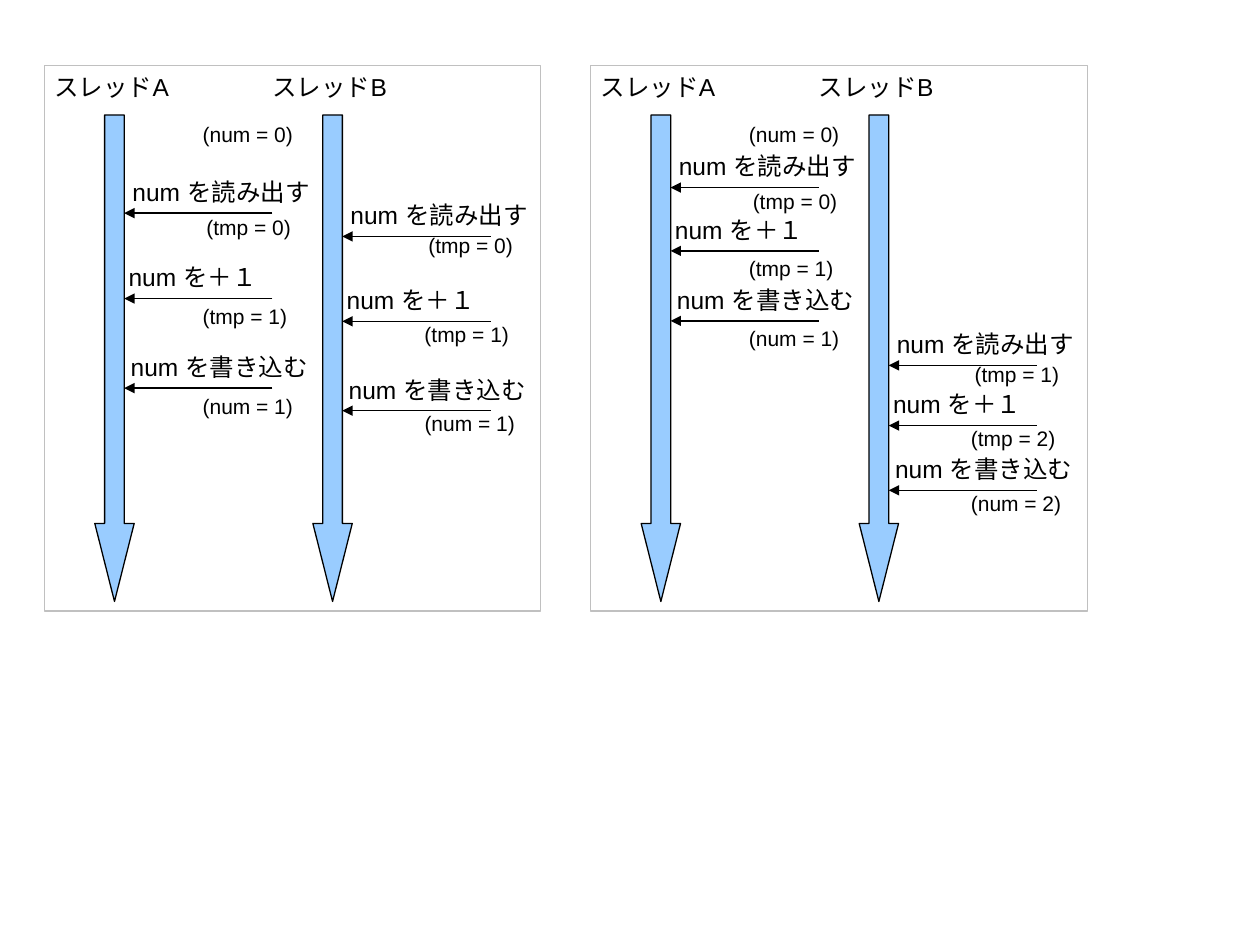
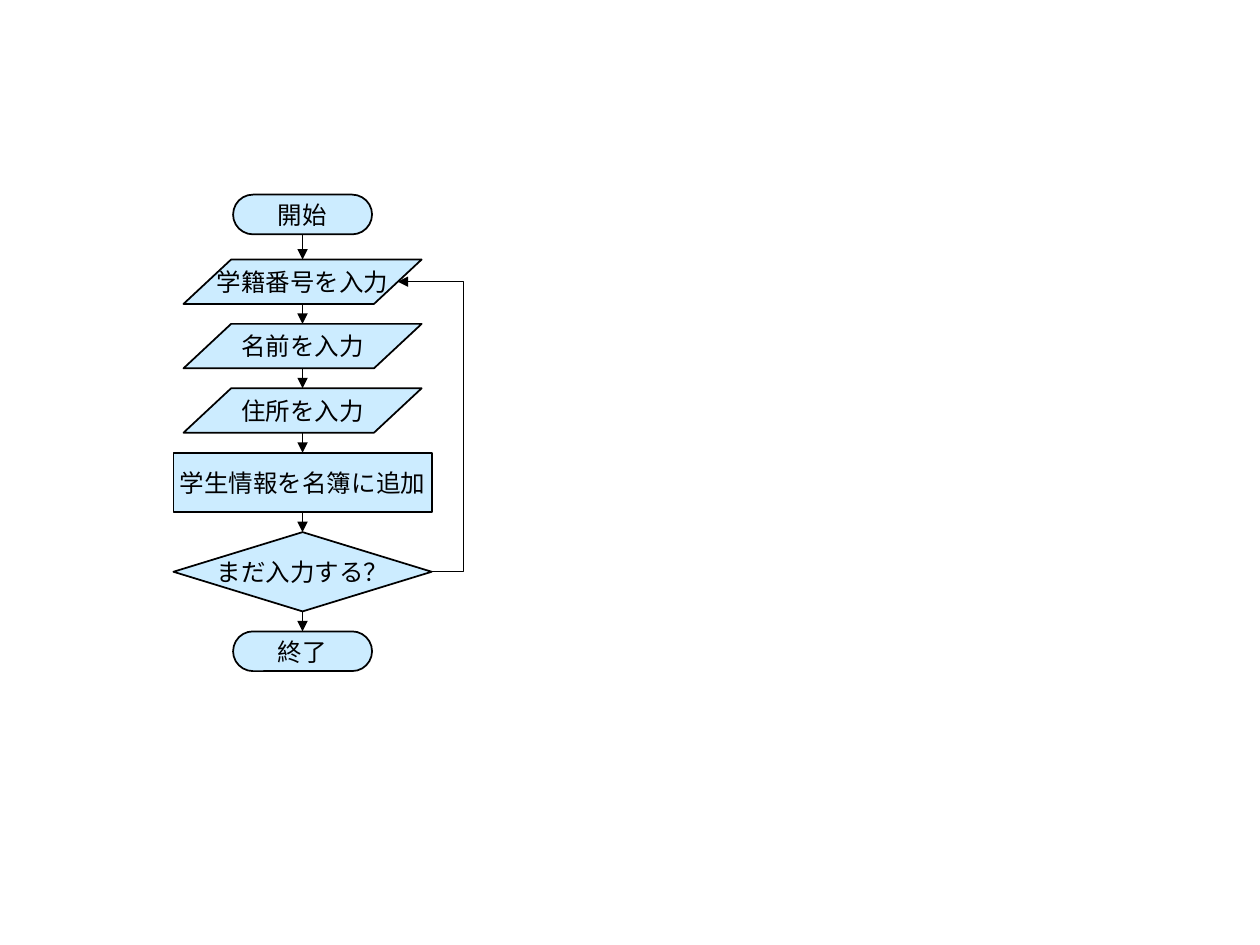
from dataclasses import dataclass

from lxml import etree
from pptx import Presentation
from pptx.dml.color import RGBColor
from pptx.enum.shapes import MSO_CONNECTOR, MSO_SHAPE
from pptx.enum.text import MSO_ANCHOR, MSO_AUTO_SIZE, PP_ALIGN
from pptx.oxml.ns import qn
from pptx.util import Pt

RECTANGLE = MSO_SHAPE.RECTANGLE
DOWN_ARROW = MSO_SHAPE.DOWN_ARROW
TERMINAL = MSO_SHAPE.ROUNDED_RECTANGLE
INPUT = MSO_SHAPE.FLOWCHART_DATA
PROCESS = MSO_SHAPE.FLOWCHART_PROCESS
DECISION = MSO_SHAPE.FLOWCHART_DECISION
STRAIGHT, ELBOW = MSO_CONNECTOR.STRAIGHT, MSO_CONNECTOR.ELBOW
FIT_SHAPE = MSO_AUTO_SIZE.SHAPE_TO_FIT_TEXT
ANCHOR_TOP, ANCHOR_MIDDLE = MSO_ANCHOR.TOP, MSO_ANCHOR.MIDDLE
ALIGN_LEFT, ALIGN_CENTER = PP_ALIGN.LEFT, PP_ALIGN.CENTER
TOP, BOTTOM = 0, 2


@dataclass(frozen=True)
class Theme:
    font: str = "Arial"
    label_size: float = 14
    state_size: float = 12
    thin: float = 0.75
    outline: float = 1
    ink: RGBColor = RGBColor(0x00, 0x00, 0x00)
    frame: RGBColor = RGBColor(0xC0, 0xC0, 0xC0)
    thread: RGBColor = RGBColor(0x99, 0xCC, 0xFF)
    node: RGBColor = RGBColor(0xCC, 0xEC, 0xFF)


THEME = Theme()


def add_block(slide, text, left, top, width, height, *, preset=None, fill=None,
              line=THEME.ink, weight=THEME.thin, adjustments=(), size=THEME.label_size):
    """Add a text box, or a preset shape with centred text if preset is given."""
    box = Pt(left), Pt(top), Pt(width), Pt(height)
    if preset is None:
        block = slide.shapes.add_textbox(*box)
        block.text_frame.auto_size = FIT_SHAPE
    else:
        block = slide.shapes.add_shape(preset, *box)
        block.shadow.inherit = False
        block.line.color.rgb = line
        block.line.width = Pt(weight)
        for index, value in enumerate(adjustments):
            block.adjustments[index] = value
        if fill is None:
            block.fill.background()
        else:
            block.fill.solid()
            block.fill.fore_color.rgb = fill
    if text:
        frame = block.text_frame
        frame.word_wrap = False
        frame.vertical_anchor = ANCHOR_MIDDLE if preset else ANCHOR_TOP
        paragraph = frame.paragraphs[0]
        paragraph.alignment = ALIGN_CENTER if preset else ALIGN_LEFT
        run = paragraph.add_run()
        run.text = text
        run.font.name = THEME.font
        run.font.size = Pt(size)
        run.font.color.rgb = THEME.ink
    return block


def add_arrow(slide, start, end, kind=STRAIGHT, weight=THEME.thin):
    arrow = slide.shapes.add_connector(kind, *(Pt(value) for value in (*start, *end)))
    arrow.line.color.rgb = THEME.ink
    arrow.line.width = Pt(weight)
    etree.SubElement(arrow.line._get_or_add_ln(), qn("a:tailEnd"), type="triangle")
    etree.SubElement(arrow._element.spPr, qn("a:effectLst"))
    return arrow


prs = Presentation()
prs.slide_width, prs.slide_height = Pt(720), Pt(540)
blank = prs.slide_layouts[6]

# Slide 1: two threads updating num, interleaved and then one after the other
race = prs.slides.add_slide(blank)
PANEL_LEFT, PANEL_TOP, PANEL_PITCH = 25.4, 37.4, 312.2
THREAD_INSET, THREAD_TOP, THREAD_PITCH = 28.8, 65.7, 124.6

# label, label offset and width, state offset from thread and from arrow
OPERATIONS = [
    ("num を読み出す", 14.4, 127, 56.7, -2.9),
    ("num を＋１", 12.2, 99, 54.5, -0.7),
    ("num を書き込む", 13.4, 127, 54.5, -0.7),
]
# each thread: arrow height and resulting state of its three operations
PANELS = [
    [
        [(121.8, "(tmp = 0)"), (170.6, "(tmp = 1)"), (221.8, "(num = 1)")],
        [(135.1, "(tmp = 0)"), (183.6, "(tmp = 1)"), (234.7, "(num = 1)")],
    ],
    [
        [(107.2, "(tmp = 0)"), (143.4, "(tmp = 1)"), (183.4, "(num = 1)")],
        [(208.8, "(tmp = 1)"), (243.2, "(tmp = 2)"), (280.2, "(num = 2)")],
    ],
]

for panel_index, threads in enumerate(PANELS):
    panel_left = PANEL_LEFT + panel_index * PANEL_PITCH
    add_block(race, "", panel_left, PANEL_TOP, 283.7, 311.8,
              preset=RECTANGLE, line=THEME.frame)
    add_block(race, "(num = 0)", panel_left + 83.3, THREAD_TOP, 66.2, 21.6,
              size=THEME.state_size)
    for thread_index, steps in enumerate(threads):
        thread_left = panel_left + THREAD_INSET + thread_index * THREAD_PITCH
        add_block(race, "", thread_left, THREAD_TOP, 22.5, 278,
                  preset=DOWN_ARROW, fill=THEME.thread, adjustments=(0.5, 1.98))
        add_block(race, f"スレッド{'AB'[thread_index]}", thread_left - 30.2, PANEL_TOP,
                  91, 24.5)
        for operation, (arrow_y, state) in zip(OPERATIONS, steps):
            label, label_dx, label_width, state_dx, state_dy = operation
            add_block(race, label, thread_left + label_dx, arrow_y - 24.2,
                      label_width, 24.5)
            add_arrow(race, (thread_left + 101.5, arrow_y), (thread_left + 16.8, arrow_y))
            add_block(race, state, thread_left + state_dx + 2.2 * thread_index,
                      arrow_y + state_dy - 2.9 * thread_index,
                      66.2 if state.startswith("(num") else 62.6, 21.6,
                      size=THEME.state_size)

# Slide 2: flowchart of entering student records
flow = prs.slides.add_slide(blank)
CENTER_X, FIRST_TOP, FIRST_GAP, STEP_GAP = 172.9, 111.2, 14.4, 11.4
LOOP_X = 264.8
SIZES = {TERMINAL: (79.4, 22.7), INPUT: (136.1, 25.4),
         PROCESS: (147.6, 34), DECISION: (147.6, 45.3)}
FLOW_STEPS = [
    ("開始", TERMINAL),
    ("学籍番号を入力", INPUT),
    ("名前を入力", INPUT),
    ("住所を入力", INPUT),
    ("学生情報を名簿に追加", PROCESS),
    ("まだ入力する？", DECISION),
    ("終了", TERMINAL),
]

nodes, middles = [], []
top = FIRST_TOP
for text, preset in FLOW_STEPS:
    width, height = SIZES[preset]
    node = add_block(flow, text, CENTER_X - width / 2, top, width, height,
                     preset=preset, fill=THEME.node, weight=THEME.outline,
                     adjustments=(0.5,) if preset == TERMINAL else ())
    nodes.append((node, preset, top, top + height))
    middles.append(top + height / 2)
    top += height + (STEP_GAP if len(nodes) > 1 else FIRST_GAP)

for upper, lower in zip(nodes, nodes[1:]):
    upper_node, upper_preset, _, upper_bottom = upper
    lower_node, lower_preset, lower_top, _ = lower
    arrow = add_arrow(flow, (CENTER_X, upper_bottom), (CENTER_X, lower_top),
                      weight=THEME.outline if lower is nodes[-1] else THEME.thin)
    # The data shape numbers its connection sites differently.
    if upper_preset != INPUT:
        arrow.begin_connect(upper_node, BOTTOM)
    if lower_preset != INPUT:
        arrow.end_connect(lower_node, TOP)

decision_right = CENTER_X + SIZES[DECISION][0] / 2
input_right = CENTER_X + SIZES[INPUT][0] * 0.4
repeat = add_arrow(flow, (decision_right, middles[5]), (input_right, middles[1]), kind=ELBOW)
bend = (decision_right - LOOP_X) / (decision_right - input_right)
guides = repeat._element.spPr.find(qn("a:prstGeom")).get_or_add_avLst()
etree.SubElement(guides, qn("a:gd"), name="adj1", fmla=f"val {round(bend * 100000)}")

prs.save("out.pptx")
